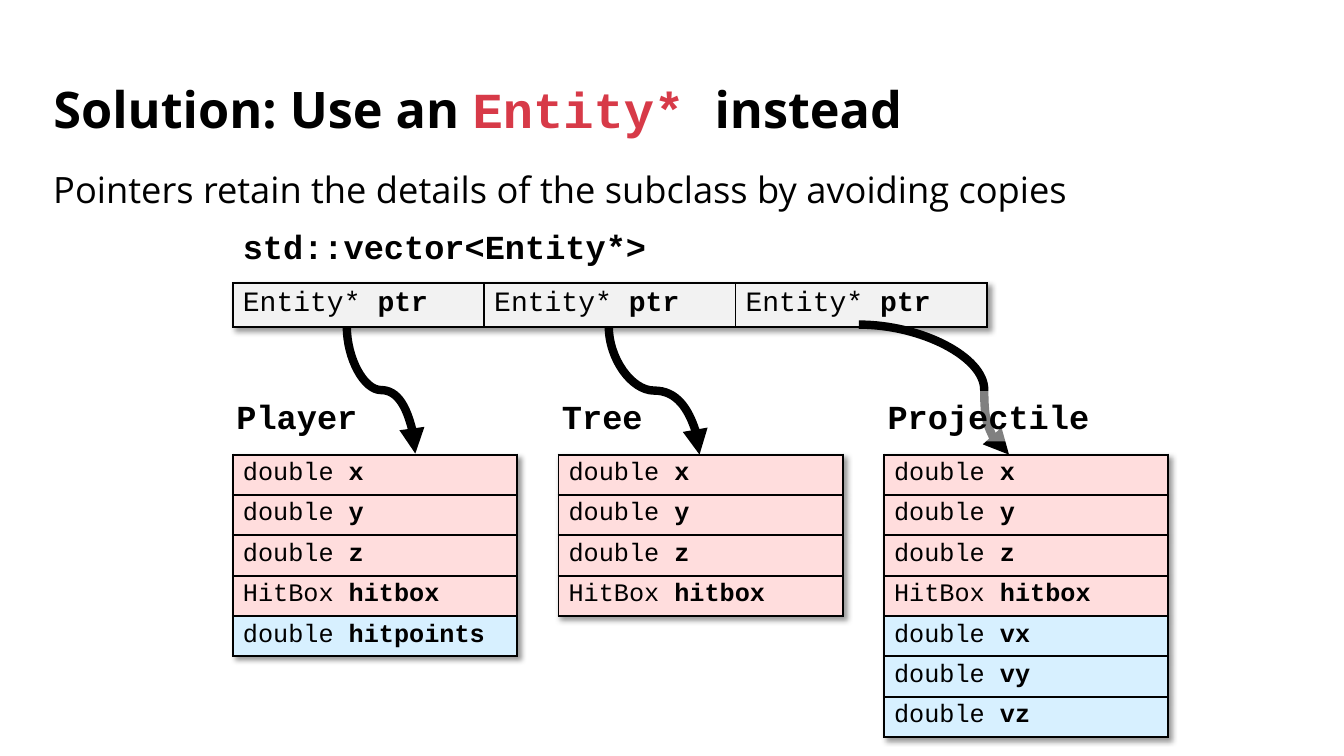
from dataclasses import dataclass
from typing import Any

import pptx
import pptx.dml.color
import pptx.enum.shapes
import pptx.enum.text
import pptx.oxml
import pptx.oxml.ns
import pptx.util

COLORS = {"ink": "000000", "accent": "D73A48", "pointer": "F2F2F2",
          "inherited": "FFDDDD", "own": "D7F0FF", "veil": "FFFFFF"}
MONO, SANS = "Courier New", "Open Sans"
NS = pptx.oxml.ns.nsdecls("a")

# Grid of 80 columns by 45 rows
WIDTH, HEIGHT = 12192000, 6858000
COLUMN, ROW = WIDTH / 80, HEIGHT / 45


@dataclass(frozen=True)
class Box:
    column: float
    row: float
    columns: float
    rows: float

    def emu(self) -> list[pptx.util.Emu]:
        return [pptx.util.Emu(round(n)) for n in (
            self.column * COLUMN, self.row * ROW,
            self.columns * COLUMN, self.rows * ROW)]


@dataclass(frozen=True)
class Run:
    text: str
    size: float
    name: str = MONO
    bold: bool = False
    color: str = "ink"


@dataclass(frozen=True)
class Field:
    kind: str
    name: str
    fill: str = "inherited"


@dataclass(frozen=True)
class Arrow:
    start: tuple[float, float]
    end: tuple[float, float]
    bend: int = 50000
    leaves_down: bool = True


@dataclass(frozen=True)
class Subclass:
    name: str
    own: tuple[str, ...]
    arrow: Arrow
    veiled: bool = False


def rgb(key: str) -> pptx.dml.color.RGBColor:
    return pptx.dml.color.RGBColor.from_string(COLORS[key])


def write(frame: Any, runs: list[Run], spacing: float = 1.0) -> None:
    paragraph = frame.paragraphs[0]
    paragraph.alignment = pptx.enum.text.PP_ALIGN.LEFT
    paragraph.line_spacing = spacing
    for item in runs:
        run = paragraph.add_run()
        run.text = item.text
        formats = {"size": pptx.util.Pt(item.size), "name": item.name, "bold": item.bold}
        for attribute, value in formats.items():
            setattr(run.font, attribute, value)
        run.font.color.rgb = rgb(item.color)


def add_text(slide: Any, box: Box, run: Run, spacing: float = 1.0,
             veiled: bool = False) -> None:
    text = slide.shapes.add_textbox(*box.emu())
    text.text_frame.word_wrap = True
    if veiled:
        text.fill.solid()
        text.fill.fore_color.rgb = rgb("veil")
        color = text.fill._xPr.find(".//" + pptx.oxml.ns.qn("a:srgbClr"))
        color.append(pptx.oxml.parse_xml(f'<a:alpha {NS} val="50000"/>'))
    write(text.text_frame, [run], spacing)


def add_fields(slide: Any, box: Box, grid: list[list[Field]], size: float) -> None:
    table = slide.shapes.add_table(len(grid), len(grid[0]), *box.emu()).table
    for attribute in ("first_row", "horz_banding"):
        setattr(table, attribute, False)
    table._tbl.tblPr.insert(0, pptx.oxml.parse_xml(
        f'<a:effectLst {NS}><a:outerShdw blurRad="50800" dist="38100" dir="2700000" '
        f'algn="tl" rotWithShape="0"><a:srgbClr val="{COLORS["ink"]}">'
        '<a:alpha val="40000"/></a:srgbClr></a:outerShdw></a:effectLst>'))
    for r, fields in enumerate(grid):
        for c, field in enumerate(fields):
            cell = table.cell(r, c)
            for side in "LRTB":
                cell._tc.get_or_add_tcPr().append(pptx.oxml.parse_xml(
                    f'<a:ln{side} {NS} w="{pptx.util.Pt(1.5)}"><a:solidFill>'
                    f'<a:srgbClr val="{COLORS["ink"]}"/></a:solidFill></a:ln{side}>'))
            cell.fill.solid()
            cell.fill.fore_color.rgb = rgb(field.fill)
            write(cell.text_frame, [Run(field.kind + " ", size),
                                    Run(field.name, size, bold=True)])


def add_arrow(slide: Any, arrow: Arrow) -> None:
    (x1, y1), (x2, y2) = arrow.start, arrow.end
    if arrow.leaves_down:
        # Frame before the quarter turn: same centre, sides swapped
        x, y, dx, dy = (x1 + x2) / 2, (y1 + y2) / 2, x2 - x1, y2 - y1
        x1, y1, x2, y2 = x + dy / 2, y - dx / 2, x - dy / 2, y + dx / 2
    curve = slide.shapes.add_connector(
        pptx.enum.shapes.MSO_CONNECTOR.CURVE,
        *Box(x1, y1, x2, y2).emu())
    curve.line.color.rgb = rgb("ink")
    curve.line.width = pptx.util.Pt(6)
    properties = curve._element.spPr
    if arrow.leaves_down:
        properties.find(pptx.oxml.ns.qn("a:xfrm")).set("rot", "16200000")
    properties.find(".//" + pptx.oxml.ns.qn("a:avLst")).append(pptx.oxml.parse_xml(
        f'<a:gd {NS} name="adj1" fmla="val {arrow.bend}"/>'))
    curve.line._get_or_add_ln().append(
        pptx.oxml.parse_xml(f'<a:tailEnd {NS} type="triangle"/>'))
    properties.append(pptx.oxml.parse_xml(f"<a:effectLst {NS}/>"))


SHARED = [Field("double", "x"), Field("double", "y"), Field("double", "z"),
          Field("HitBox", "hitbox")]
LEFT, CLASS_TOP, CLASS_STEP, CLASS_WIDTH, FIELD_HEIGHT = 13.86, 27.06, 19.38, 16.92, 2.4
SUBCLASSES = [
    Subclass("Player", ("hitpoints",), Arrow((20.64, 19.44), (24.72, 27))),
    Subclass("Tree", (), Arrow((36.24, 19.44), (41.64, 27.06))),
    Subclass("Projectile", ("vx", "vy", "vz"),
             Arrow((51.12, 19.32), (60.06, 27.06), 83500, False), veiled=True),
]


def main() -> None:
    deck = pptx.Presentation()
    deck.slide_width, deck.slide_height = WIDTH, HEIGHT
    slide = deck.slides.add_slide(deck.slide_layouts[5])

    # Title and statement
    title = slide.shapes.title
    title.left, title.top, title.width, title.height = Box(2.58, 4.14, 74.82, 5.04).emu()
    title.text_frame.auto_size = pptx.enum.text.MSO_AUTO_SIZE.NONE
    title.text_frame.vertical_anchor = pptx.enum.text.MSO_ANCHOR.MIDDLE
    write(title.text_frame, [Run("Solution: Use an ", 36, SANS, True),
                             Run("Entity* ", 36, MONO, True, "accent"),
                             Run("instead", 36, SANS, True)], 0.9)
    add_text(slide, Box(2.58, 10.14, 74.82, 2.82), Run(
        "Pointers retain the details of the subclass by avoiding copies", 25.9, SANS), 0.8)

    # Vector of pointers
    add_fields(slide, Box(LEFT, 16.86, 44.88, 2.58),
               [[Field("Entity*", "ptr", "pointer")] * 3], 20)
    add_text(slide, Box(LEFT, 13.14, 26.88, 3), Run("std::vector<Entity*>", 24, bold=True))

    # Subclasses that the pointers lead to
    for i, subclass in enumerate(SUBCLASSES):
        left = LEFT + i * CLASS_STEP
        fields = SHARED + [Field("double", name, "own") for name in subclass.own]
        add_arrow(slide, subclass.arrow)
        add_fields(slide, Box(left, CLASS_TOP, CLASS_WIDTH, FIELD_HEIGHT * len(fields)),
                   [[field] for field in fields], 18)
        add_text(slide, Box(left - 0.38, 23.28, 14.34, 3),
                 Run(subclass.name, 24, bold=True), veiled=subclass.veiled)

    deck.save("out.pptx")


if __name__ == "__main__":
    main()
